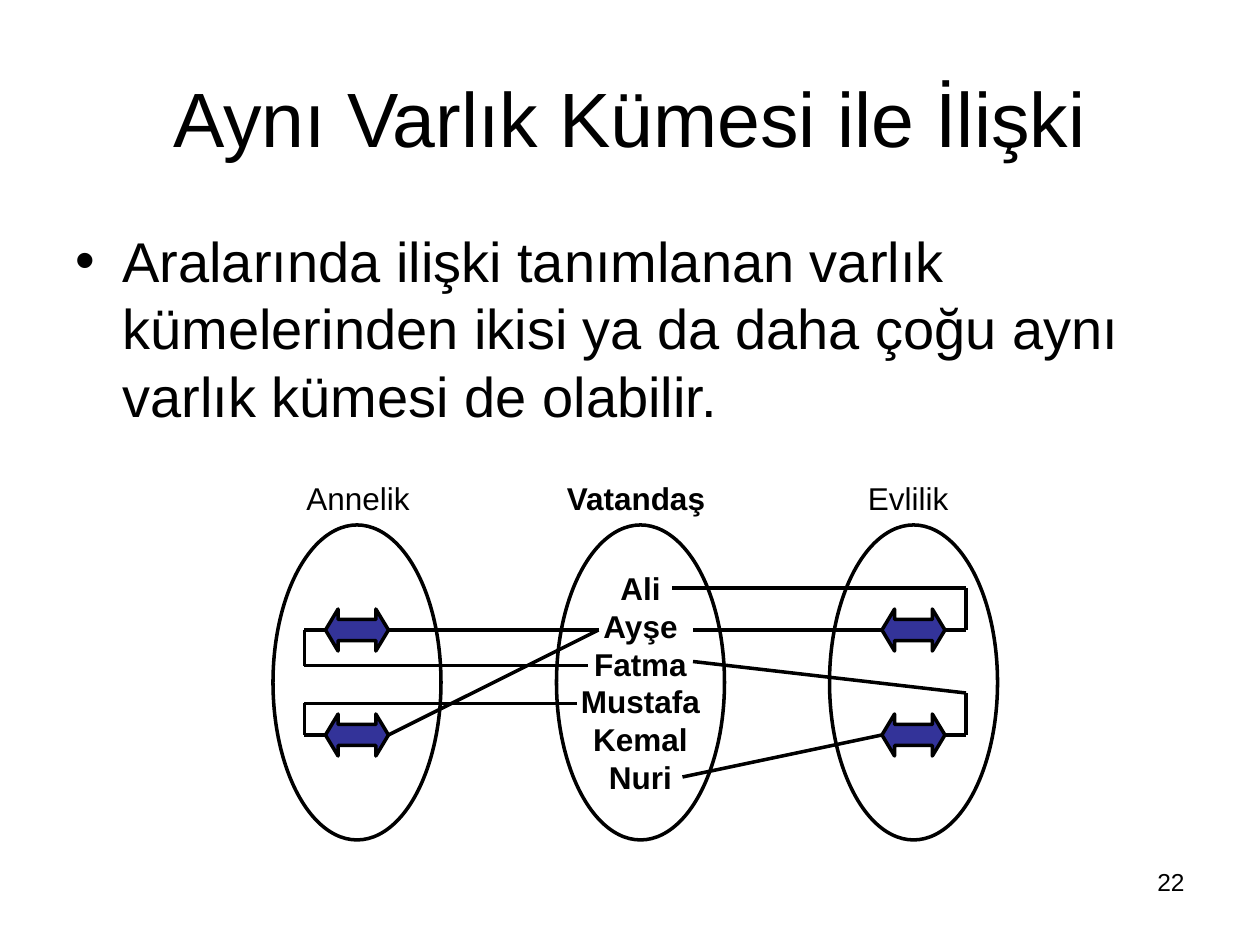
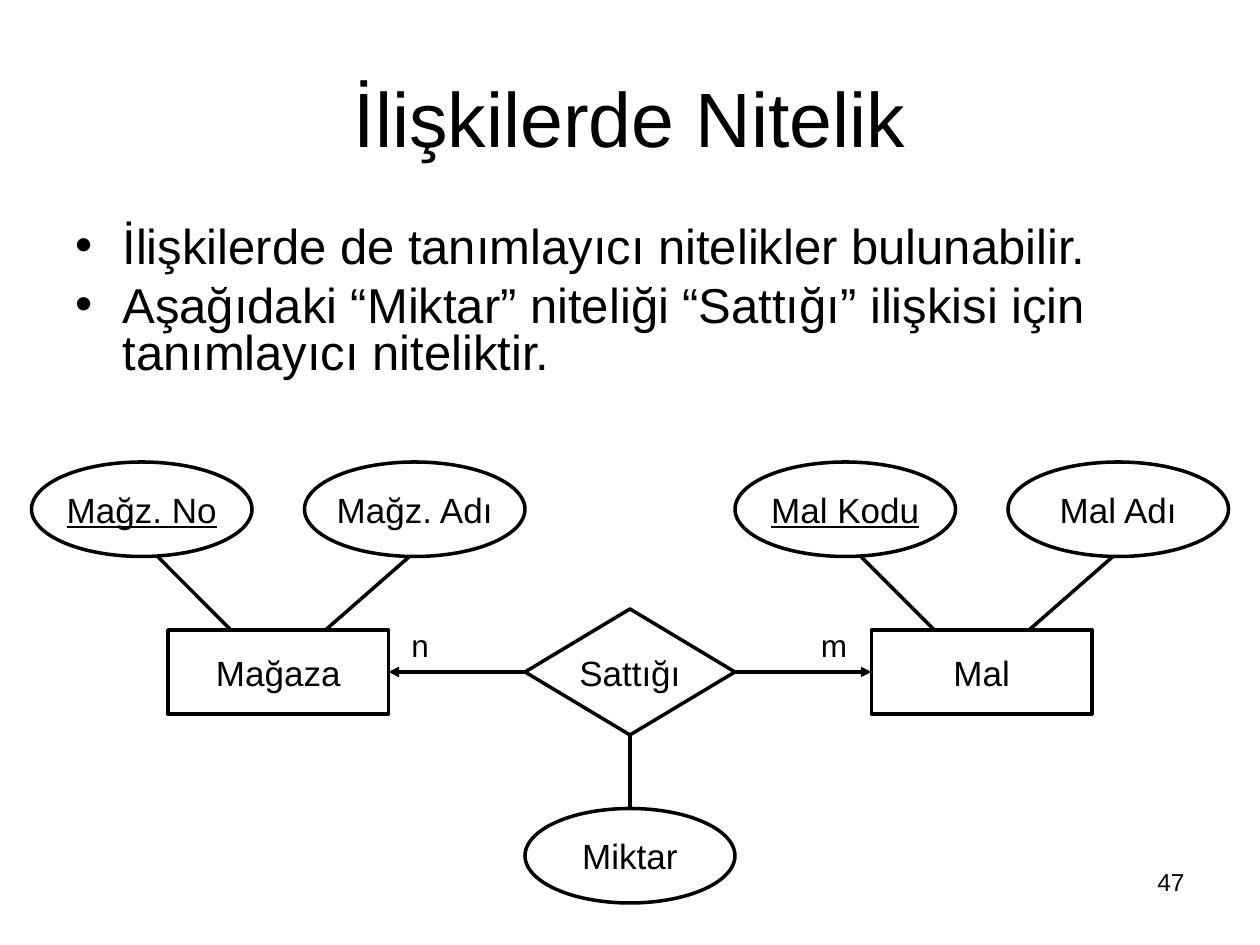
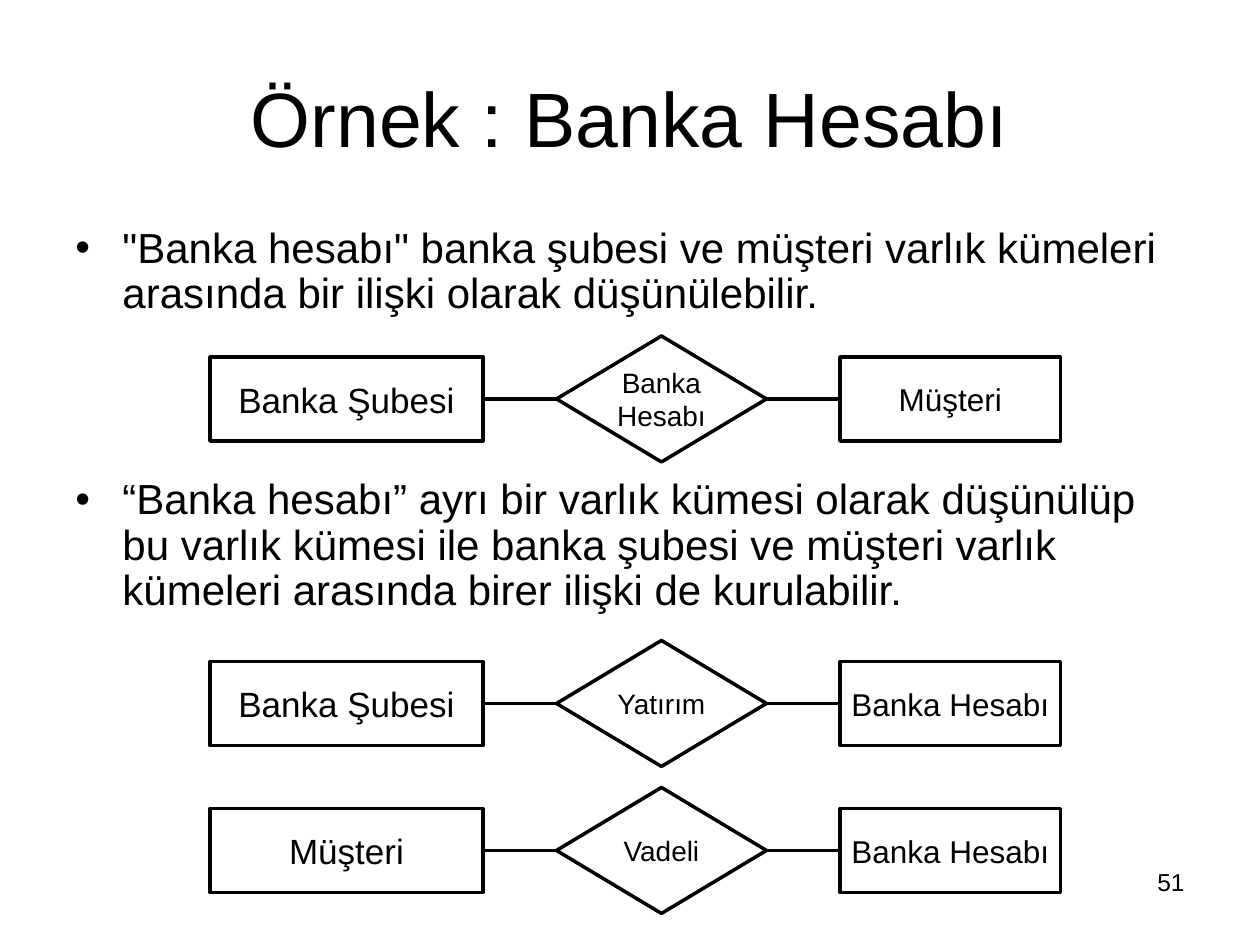
from dataclasses import dataclass
from typing import NamedTuple

from lxml.etree import SubElement
from pptx import Presentation
from pptx.dml.color import RGBColor
from pptx.enum.shapes import MSO_CONNECTOR, MSO_SHAPE
from pptx.enum.text import MSO_ANCHOR, PP_ALIGN
from pptx.oxml.ns import qn
from pptx.util import Cm, Length, Pt

# Shared look
INK = RGBColor(0x00, 0x00, 0x00)
INDIGO = RGBColor(0x33, 0x33, 0x99)
FONT = "Arial"
LINE_WIDTH = Pt(2)
HANGING = Cm(0.95)


def grid(steps: float) -> Length:
    """Every drawing lies on a grid of twelve steps to 2.54 cm."""
    return Cm(steps * 2.54 / 12)


class Point(NamedTuple):
    x: float
    y: float


class Box(NamedTuple):
    left: float
    top: float
    width: float
    height: float

    def lengths(self) -> list[Length]:
        return [grid(side) for side in self]


@dataclass
class Style:
    size: float
    bold: bool = False
    underline: bool = False


@dataclass
class Bullet:
    text: str
    space_before: float = 0


@dataclass
class Member:
    """One relationship instance and the two citizens it ties together."""
    y: float
    near: Point
    far: Point
    bend_y: float


@dataclass
class RelationSet:
    left: float
    inner_x: float
    outer_x: float
    bracket_x: float
    members: list[Member]


@dataclass
class Entity:
    left: float
    name: str
    key: str
    attribute: str
    cardinality: str
    cardinality_left: float
    link_from: float
    link_to: float


@dataclass
class Relation:
    middle: float
    source: str
    verb: list[str]
    target: str


# Text
def add_run(paragraph, text: str, style: Style) -> None:
    run = paragraph.add_run()
    run.text = text
    run.font.name = FONT
    run.font.size = Pt(style.size)
    run.font.bold = style.bold
    run.font.underline = style.underline
    run.font.color.rgb = INK


def add_text_frame(slide, box: Box):
    frame = slide.shapes.add_textbox(*box.lengths()).text_frame
    frame.word_wrap = True
    return frame


def add_label(slide, box: Box, text: str, style: Style, align=PP_ALIGN.LEFT) -> None:
    paragraph = add_text_frame(slide, box).paragraphs[0]
    paragraph.alignment = align
    add_run(paragraph, text, style)


def add_bullets(slide, height: float, bullets: list[Bullet], size: float, spacing: float) -> None:
    frame = add_text_frame(slide, Box(6, 21, 108, height))
    for index, bullet in enumerate(bullets):
        paragraph = frame.add_paragraph() if index else frame.paragraphs[0]
        properties = paragraph._p.get_or_add_pPr()
        properties.set("marL", str(HANGING))
        properties.set("indent", str(-HANGING))
        SubElement(properties, qn("a:buFont"), typeface=FONT)
        SubElement(properties, qn("a:buChar"), char="•")
        paragraph.line_spacing = spacing
        paragraph.space_before = Pt(bullet.space_before)
        add_run(paragraph, bullet.text, Style(size))


def add_titled_slide(deck, title: str, number: int):
    slide = deck.slides.add_slide(deck.slide_layouts[5])
    heading = slide.shapes.title
    heading.left, heading.top, heading.width, heading.height = Box(6, 3.6, 108, 15).lengths()
    heading.text_frame.vertical_anchor = MSO_ANCHOR.MIDDLE
    paragraph = heading.text_frame.paragraphs[0]
    paragraph.alignment = PP_ALIGN.CENTER
    add_run(paragraph, title, Style(44))
    add_label(slide, Box(86, 82, 28, 6.2), str(number), Style(14), PP_ALIGN.RIGHT)
    return slide


# Shapes and lines
def add_node(slide, kind: MSO_SHAPE, box: Box, lines: list[str], style: Style = Style(20)):
    node = slide.shapes.add_shape(kind, *box.lengths())
    node.shadow.inherit = False
    node.fill.background()
    node.line.color.rgb = INK
    node.line.width = LINE_WIDTH
    frame = node.text_frame
    frame.word_wrap = False
    frame.vertical_anchor = MSO_ANCHOR.MIDDLE
    for index, text in enumerate(lines):
        paragraph = frame.add_paragraph() if index else frame.paragraphs[0]
        paragraph.alignment = PP_ALIGN.CENTER
        add_run(paragraph, text, style)
    return node


def add_link(slide, start: Point, end: Point, arrow: bool = False) -> None:
    link = slide.shapes.add_connector(
        MSO_CONNECTOR.STRAIGHT, grid(start.x), grid(start.y), grid(end.x), grid(end.y))
    link.line.color.rgb = INK
    link.line.width = LINE_WIDTH
    if arrow:
        SubElement(link.line._get_or_add_ln(), qn("a:tailEnd"), type="triangle")
    SubElement(link._element.spPr, qn("a:effectLst"))


# Relationship sets over one entity set
def add_member(slide, relation: RelationSet, member: Member) -> None:
    tips = sorted((relation.inner_x, relation.outer_x))
    arrow = add_node(slide, MSO_SHAPE.LEFT_RIGHT_ARROW, Box(tips[0], member.y - 2, 6, 4), [])
    arrow.adjustments[1] = 0.3
    arrow.fill.solid()
    arrow.fill.fore_color.rgb = INDIGO

    add_link(slide, Point(relation.inner_x, member.y), member.near)
    corner = Point(relation.bracket_x, member.y)
    bend = Point(relation.bracket_x, member.bend_y)
    add_link(slide, Point(relation.outer_x, member.y), corner)
    add_link(slide, corner, bend)
    add_link(slide, bend, member.far)


def build_same_set_slide(deck) -> None:
    slide = add_titled_slide(deck, "Aynı Varlık Kümesi ile İlişki", 22)
    add_bullets(slide, 59.4, [Bullet(
        "Aralarında ilişki tanımlanan varlık kümelerinden ikisi ya da daha çoğu "
        "aynı varlık kümesi de olabilir.")], 32, 1)

    citizens = ["Ali", "Ayşe", "Fatma", "Mustafa", "Kemal", "Nuri"]
    add_node(slide, MSO_SHAPE.OVAL, Box(53, 50, 16, 30), citizens, Style(18, bold=True))

    ayse = Point(57, 60)
    motherhood = RelationSet(26, 37, 31, 29, [
        Member(60, ayse, Point(56, 63.4), 63.4),
        Member(70, ayse, Point(55, 67), 67),
    ])
    marriage = RelationSet(79, 84, 90, 92, [
        Member(60, Point(66, 60), Point(64, 56), 56),
        Member(70, Point(65, 74), Point(66, 63), 66),
    ])
    for relation in (motherhood, marriage):
        add_node(slide, MSO_SHAPE.OVAL, Box(relation.left, 50, 16, 30), [])
        for member in relation.members:
            add_member(slide, relation, member)

    # Set names, aligned over the ovals with tab stops
    names = add_text_frame(slide, Box(28, 45, 65, 4.8)).paragraphs[0]
    stops = SubElement(names._p.get_or_add_pPr(), qn("a:tabLst"))
    for stop in (Cm(5.25), Cm(11.32)):
        SubElement(stops, qn("a:tab"), pos=str(stop), algn="l")
    add_run(names, "Annelik\t", Style(18))
    add_run(names, "Vatandaş\t", Style(18, bold=True))
    add_run(names, "Evlilik", Style(18))


# Attributes of entities and of their relationship
def add_entity(slide, entity: Entity) -> None:
    left = entity.left
    add_link(slide, Point(entity.link_from, 64), Point(entity.link_to, 64), arrow=True)
    add_node(slide, MSO_SHAPE.RECTANGLE, Box(left, 60, 21, 8), [entity.name])
    add_node(slide, MSO_SHAPE.OVAL, Box(left - 13, 44, 21, 9), [entity.key],
             Style(20, underline=True))
    add_node(slide, MSO_SHAPE.OVAL, Box(left + 13, 44, 21, 9), [entity.attribute])
    add_link(slide, Point(left - 1, 53), Point(left + 6, 60))
    add_link(slide, Point(left + 23, 53), Point(left + 15, 60))
    add_label(slide, Box(entity.cardinality_left, 59, 5, 4.8), entity.cardinality, Style(18))


def build_attribute_slide(deck) -> None:
    slide = add_titled_slide(deck, "İlişkilerde Nitelik", 47)
    add_bullets(slide, 17, [
        Bullet("İlişkilerde de tanımlayıcı nitelikler bulunabilir."),
        Bullet("Aşağıdaki “Miktar” niteliği “Sattığı” ilişkisi için tanımlayıcı niteliktir.", 7),
    ], 28, 0.8)
    add_entity(slide, Entity(16, "Mağaza", "Mağz. No", "Mağz. Adı", "n", 38, 50, 37))
    add_entity(slide, Entity(83, "Mal", "Mal Kodu", "Mal Adı", "m", 77, 70, 83))
    add_node(slide, MSO_SHAPE.DIAMOND, Box(50, 58, 20, 12), ["Sattığı"])
    add_node(slide, MSO_SHAPE.OVAL, Box(50, 77, 20, 9), ["Miktar"])
    add_link(slide, Point(60, 70), Point(60, 77))


# Bank account as a relationship and as an entity
def add_relation(slide, relation: Relation) -> None:
    middle = relation.middle
    add_node(slide, MSO_SHAPE.RECTANGLE, Box(20, middle - 4, 26, 8), [relation.source])
    add_node(slide, MSO_SHAPE.DIAMOND, Box(53, middle - 6, 20, 12), relation.verb, Style(16))
    add_node(slide, MSO_SHAPE.RECTANGLE, Box(80, middle - 4, 21, 8), [relation.target], Style(18))
    for start, end in ((46, 53), (73, 80)):
        add_link(slide, Point(start, middle), Point(end, middle))


def build_account_slide(deck) -> None:
    slide = add_titled_slide(deck, "Örnek : Banka Hesabı", 51)
    add_bullets(slide, 40, [
        Bullet('"Banka hesabı" banka şubesi ve müşteri varlık kümeleri arasında '
               "bir ilişki olarak düşünülebilir."),
        Bullet("“Banka hesabı” ayrı bir varlık kümesi olarak düşünülüp bu varlık kümesi ile "
               "banka şubesi ve müşteri varlık kümeleri arasında birer ilişki de kurulabilir.", 92),
    ], 24, 0.9)
    for relation in (
        Relation(38, "Banka Şubesi", ["Banka", "Hesabı"], "Müşteri"),
        Relation(67, "Banka Şubesi", ["Yatırım"], "Banka Hesabı"),
        Relation(81, "Müşteri", ["Vadeli"], "Banka Hesabı"),
    ):
        add_relation(slide, relation)


def main() -> None:
    deck = Presentation()
    deck.slide_width = Cm(25.4)
    deck.slide_height = Cm(19.05)
    build_same_set_slide(deck)
    build_attribute_slide(deck)
    build_account_slide(deck)
    deck.save("out.pptx")


if __name__ == "__main__":
    main()
